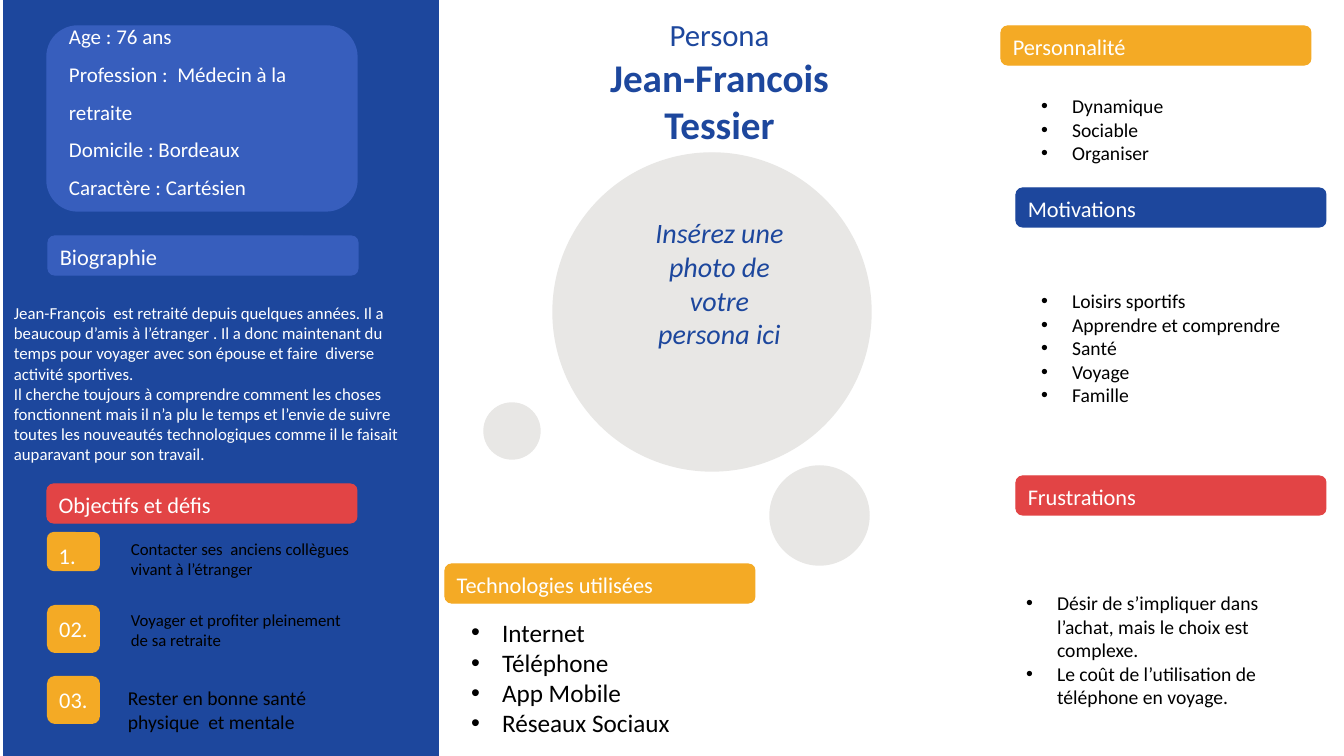
from pptx import Presentation
from pptx.dml.color import RGBColor
from pptx.enum.shapes import MSO_SHAPE
from pptx.enum.text import MSO_ANCHOR, MSO_AUTO_SIZE, PP_ALIGN
from pptx.oxml.ns import qn
from pptx.util import Emu, Pt

SCALE = 914400 / 100.8
FONT = "Calibri"
COLORS = {
    "navy": "1D479D", "blue": "375EBD", "red": "E24445", "amber": "F4AA25",
    "gray": "E8E7E5", "white": "FFFFFF", "black": "000000",
}
HEADER_WIDTH, HEADER_HEIGHT = 310, 39
BULLET_INDENT = 31


def px(length):
    """Turn picture pixels into EMU."""
    return Emu(round(length * SCALE))


def rgb(name):
    """Look up a palette colour."""
    return RGBColor.from_string(COLORS[name])


def write(shape, lines, size, color, align=PP_ALIGN.LEFT, anchor=MSO_ANCHOR.TOP, spacing=1.0):
    """Fill a shape with evenly formatted paragraphs and return them."""
    frame = shape.text_frame
    frame.text = "\n".join(lines)
    frame.word_wrap = True
    frame.auto_size = MSO_AUTO_SIZE.NONE
    frame.vertical_anchor = anchor
    for paragraph in frame.paragraphs:
        paragraph.alignment = align
        paragraph.line_spacing = spacing
        paragraph.space_before = paragraph.space_after = Pt(0)
        font = paragraph.font
        font.name, font.size, font.bold = FONT, Pt(size), False
        font.color.rgb = rgb(color)
    return frame.paragraphs


def place(shape, box):
    """Move a placeholder to a pixel box."""
    shape.left, shape.top, shape.width, shape.height = map(px, box)


def add_block(slide, preset, box, color, line=1):
    """Add a flat coloured shape, outlined in its own colour if line is set."""
    block = slide.shapes.add_shape(preset, *map(px, box))
    block.shadow.inherit = False
    block.fill.solid()
    block.fill.fore_color.rgb = rgb(color)
    if line:
        block.line.color.rgb = rgb(color)
        block.line.width = Pt(line)
    else:
        block.line.fill.background()
    return block


def add_text(slide, box, lines, size, color, **style):
    """Add a text box and return its paragraphs."""
    return write(slide.shapes.add_textbox(*map(px, box)), lines, size, color, **style)


def add_header(slide, left, top, title, color):
    """Add a rounded section header."""
    box = (left, top, HEADER_WIDTH, HEADER_HEIGHT)
    header = add_block(slide, MSO_SHAPE.ROUNDED_RECTANGLE, box, color, 0.75)
    write(header, [title], 16, "white")


def fill_list(placeholder, box, items, size):
    """Turn a body placeholder into a bulleted list."""
    place(placeholder, box)
    for paragraph in write(placeholder, items, size, "black"):
        properties = paragraph._p.get_or_add_pPr()
        properties.set("marL", str(px(BULLET_INDENT)))
        properties.set("indent", str(-px(BULLET_INDENT)))
        for old in properties.findall(qn("a:buNone")):
            properties.remove(old)
        bullet = properties.makeelement(qn("a:buChar"), {"char": "•"})
        properties.append(bullet)
        default = properties.find(qn("a:defRPr"))
        if default is not None:
            default.addprevious(bullet)


def add_objective(slide, left, top, badge_height, number, goal, goal_box, size):
    """Add a numbered badge with its goal beside it."""
    box = (left, top, 53, badge_height)
    badge = add_block(slide, MSO_SHAPE.ROUNDED_RECTANGLE, box, "amber", 0)
    write(badge, [number], 16, "white")
    badge.text_frame.margin_top = px(8)
    badge.text_frame.margin_right = badge.text_frame.margin_bottom = 0
    dx, dy, width, height = goal_box
    add_text(slide, (left + dx, top + dy, width, height), [goal], size, "black")


def build_sidebar(slide, box):
    """Build the identity, biography and objectives column."""
    left, top = box[:2]
    column = left + 43
    biography = [
        "Jean-François  est retraité depuis quelques années. Il a  beaucoup d’amis à "
        "l’étranger . Il a donc maintenant du temps pour voyager avec son épouse et "
        "faire  diverse activité sportives.",
        "Il cherche toujours à comprendre comment les choses fonctionnent mais il n’a "
        "plu le temps et l’envie de suivre toutes les nouveautés technologiques comme "
        "il le faisait auparavant pour son travail.",
    ]
    panel = add_block(slide, MSO_SHAPE.RECTANGLE, box, "navy")
    write(panel, biography, 12, "white", anchor=MSO_ANCHOR.MIDDLE)

    identity_box = (column, top + 26, HEADER_WIDTH, 185)
    add_block(slide, MSO_SHAPE.ROUNDED_RECTANGLE, identity_box, "blue")
    identity = ["Age : 76 ans", "Profession :  Médecin à la retraite",
                "Domicile : Bordeaux", "Caractère : Cartésien"]
    add_text(slide, (left + 55, top + 6, 296, 198), identity, 15, "white", spacing=1.5)

    add_header(slide, column + 1, top + 236, "Biographie", "blue")
    add_header(slide, column, top + 484, "Objectifs et défis", "red")
    objectives = [
        (532, 39, "1.", "Contacter ses  anciens collègues vivant à l’étranger",
         (74, 2, 250, 50), 12),
        (605, 48, "02.", "Voyager et profiter pleinement de sa retraite",
         (74, 0, 232, 50), 12),
        (676, 48, "03.", "Rester en bonne santé physique  et mentale",
         (71, 5, 233, 57), 14),
    ]
    for offset, *objective in objectives:
        add_objective(slide, column, top + offset, *objective)


def build_portrait(slide, box):
    """Build the persona name and the photo bubbles."""
    left, top = box[:2]
    title = slide.shapes.title
    place(title, (left + 86, top + 11, 299, 142))
    name = write(title, ["Persona", "Jean-Francois Tessier"], 22, "navy",
                 align=PP_ALIGN.CENTER)[1]
    name.font.size, name.font.bold = Pt(28), True

    for dx, dy, diameter in [(69, 153, 318), (0, 403, 56), (286, 466, 99)]:
        bubble = (left + dx, top + dy, diameter, diameter)
        add_block(slide, MSO_SHAPE.OVAL, bubble, "gray")
    hint = add_text(slide, (left + 153, top + 211, 165, 146),
                    ["Insérez une photo de votre persona ici"], 20, "navy",
                    align=PP_ALIGN.CENTER)[0]
    hint.font.italic = True


def build_technologies(slide, box, body):
    """Build the list of technologies in use."""
    left, top, width, height = box
    add_header(slide, left, top, "Technologies utilisées", "amber")
    items = ["Internet", "Téléphone", "App Mobile", "Réseaux Sociaux"]
    fill_list(body, (left + 16, top + 48, width - 16, height - 48), items, 18)


def build_traits(slide, box, bodies):
    """Build the personality, motivation and frustration column."""
    left, top = box[:2]
    traits = [
        ("Personnalité", "amber", (0, 26), (30, 89, 265, 82),
         ["Dynamique", "Sociable", "Organiser"]),
        ("Motivations", "navy", (15, 188), (30, 284, 310, 129),
         ["Loisirs sportifs", "Apprendre et comprendre", "Santé", "Voyage", "Famille"]),
        ("Frustrations", "red", (15, 476), (15, 586, 310, 129),
         ["Désir de s’impliquer dans l’achat, mais le choix est complexe.",
          "Le coût de l’utilisation de téléphone en voyage."]),
    ]
    for body, (title, color, (x, y), (dx, dy, width, height), items) in zip(bodies, traits):
        add_header(slide, left + x, top + y, title, color)
        fill_list(body, (left + dx, top + dy, width, height), items, 14)


def main():
    """Build and save the persona slide."""
    deck = Presentation()
    deck.slide_width, deck.slide_height = px(1344), px(756)
    slide = deck.slides.add_slide(deck.slide_layouts.get_by_name("Comparison"))
    technologies, *traits = list(slide.placeholders)[1:]
    build_sidebar(slide, (4, 0, 434, 767))
    build_portrait(slide, (484, 0, 387, 565))
    build_technologies(slide, (445, 564, 311, 180), technologies)
    build_traits(slide, (1001, 0, 343, 756), traits)
    deck.save("out.pptx")


main()
